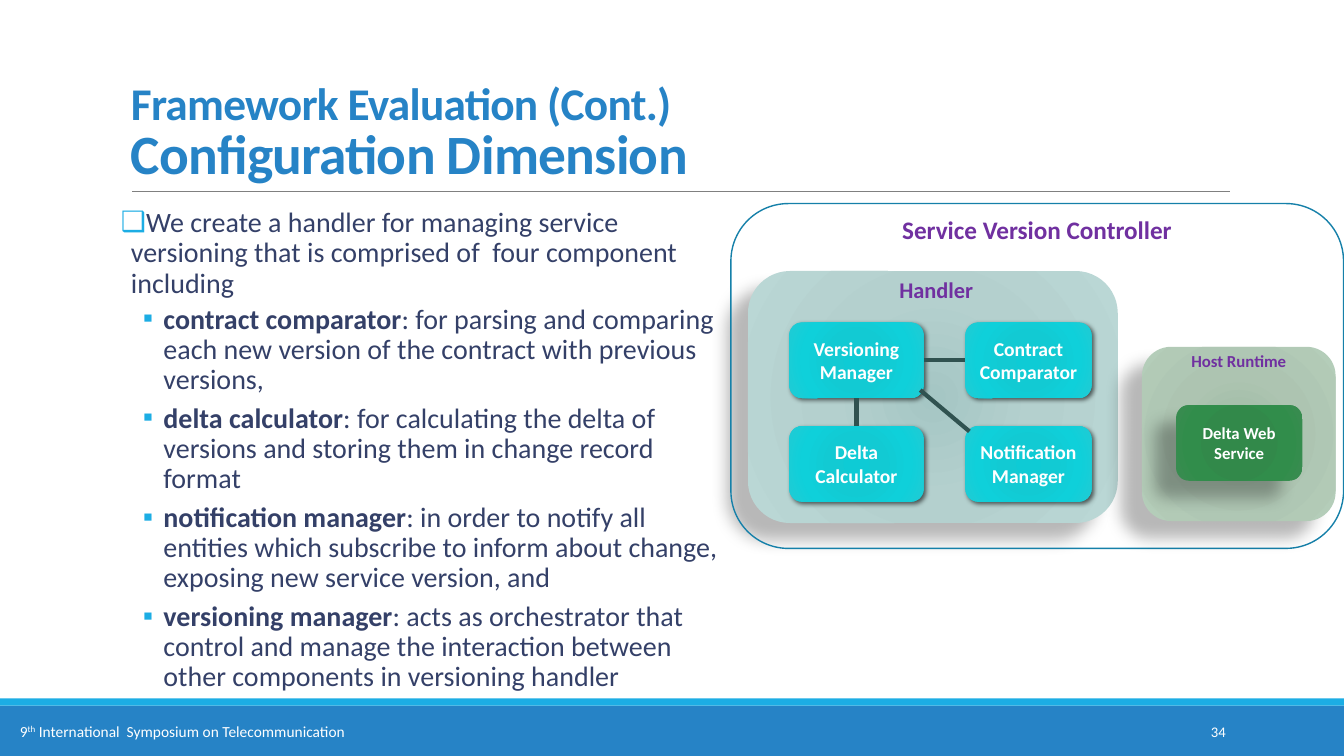
from lxml import etree
from pptx import Presentation
from pptx.dml.color import RGBColor
from pptx.enum import shapes, text
from pptx.oxml import ns
from pptx.util import Cm, Pt

COLORS = {
    "blue": "2683C6", "cyan": "1CADE4", "rule": "808080", "white": "FFFFFF",
    "body": "344068", "purple": "7030A0", "frame": "1580A9", "link": "305250",
}
GRADIENTS = {
    "handler": [(0, "A5C6C4"), (45, "B4D0CE"), (100, "BAD7D5")],
    "component": [(0, "0ECBD5"), (34, "12CAD3"), (70, "0FD0DA"), (100, "20CBD4")],
    "runtime": [(0, "9DBAA3"), (45, "ADC4B1"), (100, "B4CDB9")],
    "service": [(0, "2F8949"), (34, "32894A"), (70, "318D4B"), (100, "3A8C51")],
}
# opacity %, blur pt, distance pt, direction in degrees
SOFT = (28, 11.8, 19.7, 141)
CRISP = (60, 3.5, 2, 45)

INTRO = ("We create a handler for managing service versioning that is "
         "comprised of  four component including")
COMPONENTS = [
    ("contract comparator", ": for parsing and comparing each new version of "
     "the contract with previous versions,"),
    ("delta calculator", ": for calculating the delta of versions and storing "
     "them in change record format"),
    ("notification manager", ": in order to notify all entities which subscribe "
     "to inform about change, exposing new service version, and"),
    ("versioning manager", ": acts as orchestrator that control and manage the "
     "interaction between other components in versioning handler"),
]


def rgb(name):
    return RGBColor.from_string(COLORS[name])


def sub(parent, tag, **attrs):
    e = etree.SubElement(parent, ns.qn("a:" + tag))
    for key, value in attrs.items():
        e.set(key, str(value))
    return e


def style(p, size, color, bold=False, align=text.PP_ALIGN.LEFT):
    p.font.name, p.font.size, p.font.bold = "Calibri", Pt(size), bold
    p.font.color.rgb = rgb(color)
    p.alignment = align


def add_text(s, x, y, w, h, words="", size=20, color="body", bold=False,
             align=text.PP_ALIGN.LEFT, anchor=text.MSO_ANCHOR.TOP):
    tf = s.shapes.add_textbox(Cm(x), Cm(y), Cm(w), Cm(h)).text_frame
    tf.word_wrap, tf.vertical_anchor = True, anchor
    tf.text = words
    style(tf.paragraphs[0], size, color, bold, align)
    return tf


def add_bar(s, x, y, w, h, color):
    sp = s.shapes.add_shape(shapes.MSO_SHAPE.RECTANGLE, Cm(x), Cm(y), Cm(w), Cm(h))
    sp.shadow.inherit = False
    sp.fill.solid()
    sp.fill.fore_color.rgb = rgb(color)
    sp.line.fill.background()


def add_line(s, x1, y1, x2, y2, color, width):
    line = s.shapes.add_connector(shapes.MSO_CONNECTOR.STRAIGHT,
                                  Cm(x1), Cm(y1), Cm(x2), Cm(y2))
    line.line.color.rgb, line.line.width = rgb(color), Pt(width)
    sub(line._element.spPr, "effectLst")
    return line


def add_panel(s, x, y, w, h, gradient=None, shadow=None, words="", size=14):
    """Rounded box: shaded with a shadow, or just an outline without a gradient."""
    sp = s.shapes.add_shape(shapes.MSO_SHAPE.ROUNDED_RECTANGLE,
                            Cm(x), Cm(y), Cm(w), Cm(h))
    sp.shadow.inherit = False
    if gradient is None:
        sp.fill.background()
        sp.line.color.rgb, sp.line.width = rgb("frame"), Pt(1)
        return sp
    sp.line.fill.background()
    props = sp._element.spPr
    grad = sub(props, "gradFill", rotWithShape=1)
    stops = sub(grad, "gsLst")
    for pos, color in GRADIENTS[gradient]:
        sub(sub(stops, "gs", pos=pos * 1000), "srgbClr", val=color)
    sub(sub(grad, "path", path="circle"), "fillToRect",
        l=100000, t=100000, r=100000, b=100000)
    props.find(ns.qn("a:ln")).addprevious(grad)
    alpha, blur, dist, angle = shadow
    shade = sub(props.find(ns.qn("a:effectLst")), "outerShdw", blurRad=Pt(blur),
                dist=Pt(dist), dir=angle * 60000, algn="ctr", rotWithShape=0)
    sub(sub(shade, "srgbClr", val="000000"), "alpha", val=alpha * 1000)
    if words:
        tf = sp.text_frame
        tf.word_wrap, tf.vertical_anchor = True, text.MSO_ANCHOR.MIDDLE
        tf.text = words
        style(tf.paragraphs[0], size, "white", True, text.PP_ALIGN.CENTER)
    return sp


def add_label(s, x, y, w, h, words, size):
    add_text(s, x, y, w, h, words, size, "purple", True, text.PP_ALIGN.CENTER)


def add_footer(s, x, y, w, h):
    add_bar(s, x, y, w, h, "blue")
    add_bar(s, x, y - 0.18, w, 0.18, "cyan")
    p = add_text(s, x + 0.25, y + 0.28, 14.22, 0.71, "9", 11, "white").paragraphs[0]
    r = p.add_run()
    r.text = "th"
    r.font._element.set("baseline", "30000")
    p.add_run().text = " International  Symposium on Telecommunication"
    add_text(s, x + 27.51, y + 0.15, 3.63, 1.02, "34", 10.5, "white",
             align=text.PP_ALIGN.RIGHT, anchor=text.MSO_ANCHOR.MIDDLE)


def add_title(s, x, y, w, h):
    tf = add_text(s, x, y, w, h, "Framework Evaluation (Cont.)\vConfiguration Dimension",
                  39.6, "blue", True, anchor=text.MSO_ANCHOR.BOTTOM)
    p = tf.paragraphs[0]
    p.line_spacing = 0.85
    p.runs[0].font.size = Pt(32.4)
    for r in p.runs:
        r.font._element.set("spc", "-50")
    add_line(s, x + 0.28, y + h, x + w, y + h, "rule", 0.5)


def set_bullet(p, char, left, hang, before, after):
    p.line_spacing, p.space_before, p.space_after = 0.9, Pt(before), Pt(after)
    props = p._p.get_or_add_pPr()
    props.set("marL", str(Cm(left)))
    props.set("indent", str(-Cm(hang)))
    marks = [sub(props, "buClr"), sub(props, "buFont", typeface="Calibri"),
             sub(props, "buChar", char=char)]
    sub(marks[0], "srgbClr", val=COLORS["cyan"])
    for mark in marks:
        props.find(ns.qn("a:defRPr")).addprevious(mark)


def add_body(s, x, y, w, h):
    tf = add_text(s, x, y, w, h, INTRO)
    tf.margin_left = tf.margin_right = 0
    set_bullet(tf.paragraphs[0], "❑", 0.25, 0.25, 12, 2)
    for name, role in COMPONENTS:
        p = tf.add_paragraph()
        p.level = 1
        style(p, 20, "body")
        set_bullet(p, "▪", 1.07, 0.51, 2, 4)
        r = p.add_run()
        r.text, r.font.bold = name, True
        p.add_run().text = role


def add_handler(s, x, y, w, h):
    add_panel(s, x, y, w, h, "handler", SOFT)
    add_label(s, x + 0.2, y, w - 0.23, 0.94, "Handler", 16)
    left, right, top, low = x + 1.04, x + 5.48, y + 1.3, y + 3.91
    wide, narrow, high = 3.39, 3.18, 1.9
    manager, contract, delta, _ = [
        add_panel(s, nx, ny, nw, high, "component", CRISP, words)
        for nx, ny, nw, words in [
            (left, top, wide, "Versioning Manager"),
            (right, top, narrow, "Contract Comparator"),
            (left, low, wide, "Delta Calculator"),
            (right, low, narrow, "Notification Manager")]]
    for target, start, end in [(contract, 3, 1), (delta, 2, 0)]:
        link = add_line(s, left, top, right, low, "link", 3)
        link.begin_connect(manager, start)
        link.end_connect(target, end)
    add_line(s, left + wide - 0.09, top + high - 0.2, right + 0.1, low + 0.13, "link", 3)


def add_runtime(s, x, y, w, h):
    add_panel(s, x, y, w, h, "runtime", SOFT)
    add_panel(s, x + 0.86, y + 1.47, 3.18, 1.9, "service", SOFT, "Delta Web Service", 12)
    add_label(s, x + 0.43, y - 0.03, w - 0.86, 0.76, "Host Runtime", 12)


def add_controller(s, x, y, w, h):
    add_handler(s, x + 0.43, y + 1.7, 9.32, 6.35)
    add_panel(s, x, y, w, h)
    add_label(s, x + 3.37, y + 0.15, 8.69, 1.02, "Service Version Controller", 18)
    add_runtime(s, x + 10.36, y + 3.61, 4.88, 4.39)


def main():
    prs = Presentation()
    prs.slide_width, prs.slide_height = Cm(33.87), Cm(19.05)
    s = prs.slides.add_slide(prs.slide_layouts[6])
    add_footer(s, 0, 17.78, 33.87, 1.27)
    add_title(s, 3.05, 1.8, 27.94, 3.02)
    add_body(s, 3.05, 5.13, 15.24, 11.18)
    add_controller(s, 18.42, 5.13, 15.44, 8.69)
    prs.save("out.pptx")


if __name__ == "__main__":
    main()
